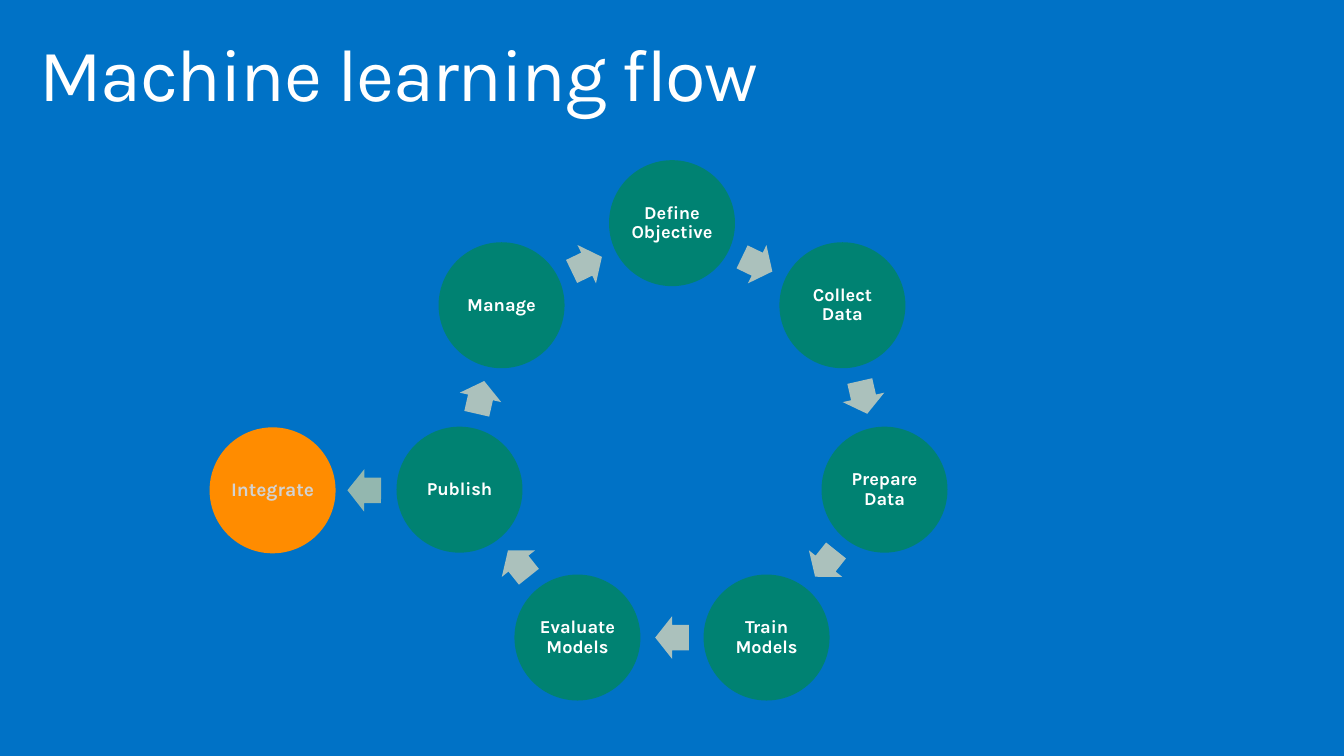
from dataclasses import dataclass
from math import cos, radians, sin

from pptx import Presentation
from pptx.dml.color import RGBColor
from pptx.enum.shapes import MSO_SHAPE
from pptx.enum.text import MSO_ANCHOR, PP_ALIGN
from pptx.util import Pt


@dataclass(frozen=True)
class Theme:
    font: str = "Karla"
    background: str = "0072C6"
    white: str = "FFFFFF"
    step: str = "008272"
    flow: str = "ABC1BC"
    branch: str = "FF8C00"
    branch_flow: str = "93B7AF"
    branch_text: str = "D2D2D2"
    title_size: float = 52.9
    step_size: float = 13
    branch_size: float = 13.7


THEME = Theme()
STEPS = ["Define Objective", "Collect Data", "Prepare Data", "Train Models",
         "Evaluate Models", "Publish", "Manage"]
CENTER_X, CENTER_Y, RADIUS = 480, 315.1, 155.7
NODE = 90
ARROW_W, ARROW_H = 24, 30.4


def write(tf, text, size, color, bold=False):
    tf.word_wrap = True
    tf.text = text
    p = tf.paragraphs[0]
    p.line_spacing = 0.9
    r = p.runs[0]
    r.font.name = THEME.font
    r.font.size = Pt(size)
    r.font.bold = bold
    r.font.color.rgb = RGBColor.from_string(color)
    return p


def add_title(s, text):
    tf = s.shapes.add_textbox(Pt(21), Pt(23), Pt(918), Pt(70.5)).text_frame
    p = write(tf, text, THEME.title_size, THEME.white)
    p.runs[0].font._element.set("spc", "-100")


def add_centered(s, kind, x, y, w, h, fill):
    sp = s.shapes.add_shape(kind, Pt(x - w / 2), Pt(y - h / 2), Pt(w), Pt(h))
    sp.shadow.inherit = False
    sp.fill.solid()
    sp.fill.fore_color.rgb = RGBColor.from_string(fill)
    sp.line.fill.background()
    return sp


def add_node(s, text, x, y, fill, size, color):
    sp = add_centered(s, MSO_SHAPE.OVAL, x, y, NODE, NODE, fill)
    tf = sp.text_frame
    tf.margin_left = tf.margin_right = tf.margin_top = tf.margin_bottom = Pt(1.3)
    tf.vertical_anchor = MSO_ANCHOR.MIDDLE
    write(tf, text, size, color, bold=True).alignment = PP_ALIGN.CENTER


def add_arrow(s, x, y, angle, fill):
    sp = add_centered(s, MSO_SHAPE.RIGHT_ARROW, x, y, ARROW_W, ARROW_H, fill)
    sp.adjustments[0] = 0.6
    sp.adjustments[1] = 0.5
    sp.rotation = angle


def ring_point(i):
    angle = radians(360 / len(STEPS) * i)
    return CENTER_X + RADIUS * sin(angle), CENTER_Y - RADIUS * cos(angle)


def add_cycle(s):
    for i, text in enumerate(STEPS):
        x, y = ring_point(i)
        next_x, next_y = ring_point(i + 1)
        add_node(s, text, x, y, THEME.step, THEME.step_size, THEME.white)
        add_arrow(s, (x + next_x) / 2, (y + next_y) / 2,
                  360 / len(STEPS) * (i + 0.5), THEME.flow)


def add_branch(s, text, source):
    x, y = ring_point(STEPS.index(source))
    add_arrow(s, x - 68, y + 0.5, 180.4, THEME.branch_flow)
    add_node(s, text, x - 133.5, y + 0.5, THEME.branch,
             THEME.branch_size, THEME.branch_text)


def main():
    prs = Presentation()
    prs.slide_width, prs.slide_height = Pt(960), Pt(540)
    s = prs.slides.add_slide(prs.slide_layouts[6])
    s.background.fill.solid()
    s.background.fill.fore_color.rgb = RGBColor.from_string(THEME.background)
    add_title(s, "Machine learning flow")
    add_cycle(s)
    add_branch(s, "Integrate", "Publish")
    prs.save("out.pptx")


if __name__ == "__main__":
    main()
